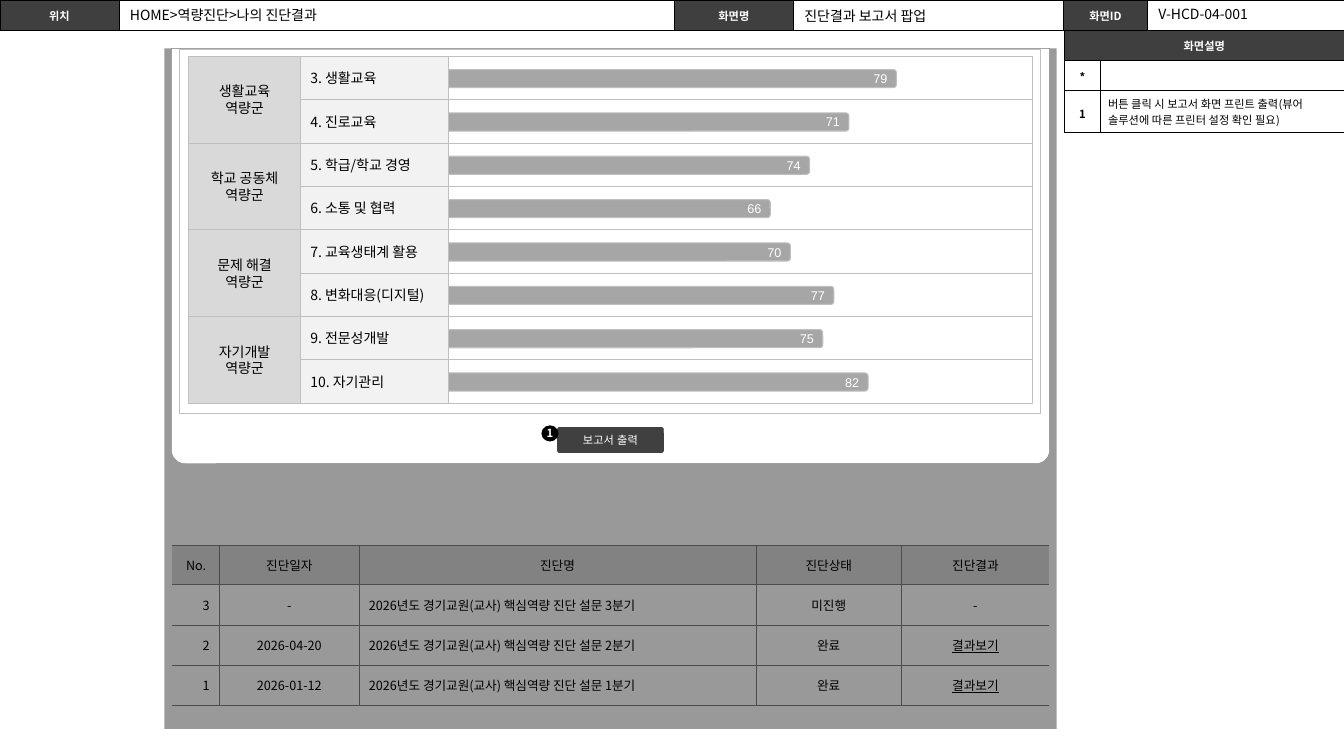
from lxml.etree import SubElement
from pptx import Presentation
from pptx.dml.color import RGBColor
from pptx.enum.shapes import MSO_SHAPE
from pptx.enum.text import MSO_ANCHOR, PP_ALIGN
from pptx.oxml import parse_xml
from pptx.oxml.ns import nsdecls, qn
from pptx.util import Inches, Pt

BLACK = RGBColor(0x00, 0x00, 0x00)
WHITE = RGBColor(0xFF, 0xFF, 0xFF)
HEADER = RGBColor(0x3F, 0x3F, 0x3F)
BUTTON = RGBColor(0x40, 0x40, 0x40)
RULE = RGBColor(0x80, 0x80, 0x80)
BAR = RGBColor(0xA6, 0xA6, 0xA6)
BORDER = RGBColor(0xBF, 0xBF, 0xBF)
GROUP_FILL = RGBColor(0xD9, 0xD9, 0xD9)
LABEL_FILL = RGBColor(0xF2, 0xF2, 0xF2)

KOREAN = "Noto Sans CJK KR"
LATIN = "Arial"
LEFT, CENTER, RIGHT = PP_ALIGN.LEFT, PP_ALIGN.CENTER, PP_ALIGN.RIGHT

COMPETENCY_GROUPS = ["생활교육 역량군", "학교 공동체 역량군", "문제 해결 역량군", "자기개발 역량군"]
# Label, score, right end of the bar in inches
COMPETENCIES = [
    ("3. 생활교육", 79, 8.89),
    ("4. 진로교육", 71, 8.42),
    ("5. 학급/학교 경영", 74, 8.03),
    ("6. 소통 및 협력", 66, 7.64),
    ("7. 교육생태계 활용", 70, 7.84),
    ("8. 변화대응(디지털)", 77, 8.27),
    ("9. 전문성개발", 75, 8.16),
    ("10. 자기관리", 82, 8.61),
]
CHART_TOP, ROW_HEIGHT = 0.56, 0.43
BAR_LEFT, BAR_HEIGHT = 4.37, 0.18

DIAGNOSES = [
    ("No.", "진단일자", "진단명", "진단상태", "진단결과"),
    ("3", "-", "2026년도 경기교원(교사) 핵심역량 진단 설문 3분기", "미진행", "-"),
    ("2", "2026-04-20", "2026년도 경기교원(교사) 핵심역량 진단 설문 2분기", "완료", "결과보기"),
    ("1", "2026-01-12", "2026년도 경기교원(교사) 핵심역량 진단 설문 1분기", "완료", "결과보기"),
]


def write(frame, text, size, color=BLACK, align=LEFT, font=KOREAN, bold=False):
    paragraph = frame.paragraphs[0]
    paragraph.alignment = align
    run = paragraph.add_run()
    run.text = text
    run.font.size = Pt(size)
    run.font.bold = bold
    run.font.name = font
    run.font.color.rgb = color
    SubElement(run.font._element, qn("a:ea"), typeface=font)
    return paragraph


def add_box(shapes, preset, box, fill, line=None, weight=0.75):
    shape = shapes.add_shape(preset, *map(Inches, box))
    shape.shadow.inherit = False
    shape.fill.solid()
    shape.fill.fore_color.rgb = fill
    if line is None:
        shape.line.fill.background()
    else:
        shape.line.color.rgb = line
        shape.line.width = Pt(weight)
    frame = shape.text_frame
    frame.word_wrap = True
    frame.vertical_anchor = MSO_ANCHOR.MIDDLE
    return shape


def add_text(slide, box, text):
    frame = slide.shapes.add_textbox(*map(Inches, box)).text_frame
    frame.word_wrap = True
    write(frame, text, 10)


def add_table(slide, left, top, widths, heights):
    frame = slide.shapes.add_table(len(heights), len(widths), Inches(left), Inches(top),
                                   Inches(sum(widths)), Inches(sum(heights)))
    table = frame.table
    table.first_row = table.horz_banding = False
    for column, width in zip(table.columns, widths):
        column.width = Inches(width)
    for row, height in zip(table.rows, heights):
        row.height = Inches(height)
    return table


def format_cell(cell, fill, color, weight, margins, open_sides=()):
    """Set fill, margins and borders; open_sides lists the sides without a border."""
    if fill is None:
        cell.fill.background()
    else:
        cell.fill.solid()
        cell.fill.fore_color.rgb = fill
    cell.margin_left = cell.margin_right = Inches(margins[0])
    cell.margin_top = cell.margin_bottom = Inches(margins[1])
    cell.vertical_anchor = MSO_ANCHOR.MIDDLE
    properties = cell._tc.get_or_add_tcPr()
    for index, side in enumerate("LRTB"):
        paint = "<a:noFill/>" if side in open_sides else (
            f'<a:solidFill><a:srgbClr val="{color}"/></a:solidFill>')
        properties.insert(index, parse_xml(
            f'<a:ln{side} {nsdecls("a")} w="{Pt(weight)}">{paint}</a:ln{side}>'))


def shrink_empty_cell(cell):
    SubElement(cell.text_frame.paragraphs[0]._p, qn("a:endParaRPr"), sz="800")


def add_screen_header(slide):
    table = add_table(slide, 0, 0, [1.18, 5.51, 1.18, 2.68, 0.83, 1.95], [0.3])
    for index, text in enumerate(["위치", "", "화면명", "", "화면ID", ""]):
        cell = table.cell(0, index)
        format_cell(cell, HEADER if text else WHITE, BLACK, 0.75, (0.1, 0.05))
        if text:
            write(cell.text_frame, text, 8, WHITE, CENTER, bold=True)
        else:
            shrink_empty_cell(cell)


def add_screen_description(slide):
    table = add_table(slide, 10.56, 0.3, [0.35, 2.42], [0.3, 0.26, 0.37])
    for row in range(3):
        for column in range(2):
            format_cell(table.cell(row, column), WHITE if row else HEADER,
                        BLACK, 0.75, (0.08, 0.05))
    table.cell(0, 0).merge(table.cell(0, 1))
    write(table.cell(0, 0).text_frame, "화면설명", 8, WHITE, CENTER, bold=True)
    for row, mark in enumerate("*1", start=1):
        paragraph = write(table.cell(row, 0).text_frame, mark, 8, align=CENTER, bold=True)
        paragraph.line_spacing = 1.2
    shrink_empty_cell(table.cell(1, 1))
    note = table.cell(2, 1)
    note.vertical_anchor = MSO_ANCHOR.TOP
    write(note.text_frame, "버튼 클릭 시 보고서 화면 프린트 출력(뷰어 솔루션에 따른 프린터 설정 확인 필요)", 8)


def add_diagnosis_list(slide):
    table = add_table(slide, 1.71, 5.41, [0.47, 1.38, 3.94, 1.44, 1.47], [0.39, 0.4, 0.4, 0.4])
    body_alignments = [RIGHT, CENTER, LEFT, CENTER, CENTER]
    for row, values in enumerate(DIAGNOSES):
        for column, text in enumerate(values):
            cell = table.cell(row, column)
            format_cell(cell, None if row else GROUP_FILL, RULE, 0.5,
                        (0.1, 0.08) if row else (0.07, 0.07), {0: "L", 4: "R"}.get(column, ""))
            paragraph = write(cell.text_frame, text, 9,
                              align=body_alignments[column] if row else CENTER)
            paragraph.space_after = Pt(4)
            if text == "결과보기":
                paragraph.runs[0].font.underline = True


def add_popup_background(slide):
    dimmer = add_box(slide.shapes, MSO_SHAPE.ROUNDED_RECTANGLE, (1.63, 0.48, 8.85, 6.75), BLACK)
    dimmer.adjustments[0] = 0
    color = dimmer.fill._xPr.find(qn("a:solidFill"))[0]
    SubElement(color, qn("a:alpha"), val="40000")
    popup = add_box(slide.shapes, MSO_SHAPE.ROUND_2_SAME_RECTANGLE,
                    (1.7, 0.48, 8.71, 4.12), WHITE, RULE, 0.25)
    popup.adjustments[0] = 0
    popup.adjustments[1] = 0.033


def add_competency_chart(slide):
    shapes = slide.shapes.add_group_shape().shapes
    rectangle = MSO_SHAPE.RECTANGLE
    add_box(shapes, rectangle, (1.78, 0.49, 8.54, 3.61), WHITE, BORDER)
    for index, (label, score, bar_right) in enumerate(COMPETENCIES):
        top = CHART_TOP + index * ROW_HEIGHT
        add_box(shapes, rectangle, (4.44, top, 5.8, ROW_HEIGHT), WHITE, BORDER)
        bar = add_box(shapes, MSO_SHAPE.ROUNDED_RECTANGLE,
                      (BAR_LEFT, top + 0.13, bar_right - BAR_LEFT, BAR_HEIGHT), BAR, BORDER)
        bar.text_frame.margin_right = Inches(0.08)
        write(bar.text_frame, str(score), 9, WHITE, RIGHT, LATIN)
        name = add_box(shapes, rectangle, (2.98, top, 1.47, ROW_HEIGHT), LABEL_FILL, BORDER)
        write(name.text_frame, label, 10)
    for index, label in enumerate(COMPETENCY_GROUPS):
        box = (1.87, CHART_TOP + index * 2 * ROW_HEIGHT, 1.11, 2 * ROW_HEIGHT)
        frame = add_box(shapes, rectangle, box, GROUP_FILL, BORDER).text_frame
        frame.margin_left = frame.margin_right = Inches(0.12)
        write(frame, label, 10, align=CENTER)


def add_print_button(slide):
    button = add_box(slide.shapes, MSO_SHAPE.ROUNDED_RECTANGLE,
                     (5.53, 4.24, 1.05, 0.25), BUTTON, BUTTON, 0.5)
    button.adjustments[0] = 0.079
    write(button.text_frame, "보고서 출력", 8, WHITE, CENTER, LATIN)
    badge = add_box(slide.shapes, MSO_SHAPE.OVAL, (5.37, 4.22, 0.17, 0.16), BLACK)
    frame = badge.text_frame
    frame.word_wrap = False
    frame.margin_left = frame.margin_right = 0
    write(frame, "1", 8, WHITE, CENTER, bold=True)


def main():
    presentation = Presentation()
    presentation.slide_width = Inches(13.33)
    presentation.slide_height = Inches(7.5)
    slide = presentation.slides.add_slide(presentation.slide_layouts[6])
    add_screen_header(slide)
    add_screen_description(slide)
    add_text(slide, (1.19, 0.02, 5.47, 0.27), "HOME>역량진단>나의 진단결과")
    add_diagnosis_list(slide)
    add_popup_background(slide)
    add_competency_chart(slide)
    add_print_button(slide)
    add_text(slide, (11.39, 0.01, 1.94, 0.27), "V-HCD-04-001")
    add_text(slide, (7.88, 0.03, 2.67, 0.27), "진단결과 보고서 팝업")
    presentation.save("out.pptx")


if __name__ == "__main__":
    main()
